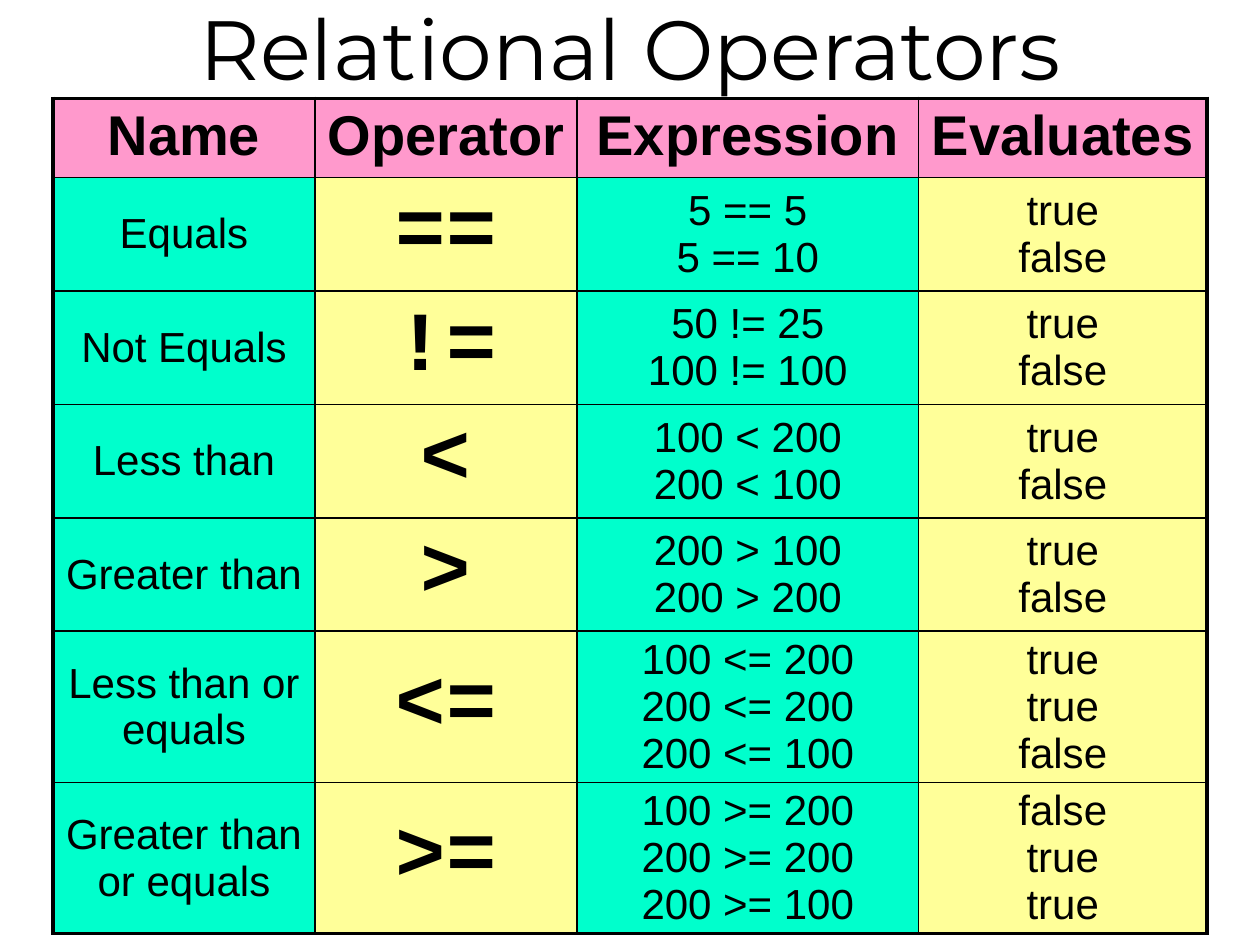
import pptx
import pptx.util
import pptx.dml.color
import pptx.enum.text
import pptx.oxml
import pptx.oxml.ns

Inches = pptx.util.Inches
Pt = pptx.util.Pt
RGBColor = pptx.dml.color.RGBColor
MIDDLE = pptx.enum.text.MSO_ANCHOR.MIDDLE
TOP = pptx.enum.text.MSO_ANCHOR.TOP
CENTER = pptx.enum.text.PP_ALIGN.CENTER

COLORS = {"ink": "000000", "pink": "FF99CC", "mint": "00FFCC", "yellow": "FFFF99"}
HEADER_FONT = {"name": "Arial", "size": Pt(32), "bold": True}
BODY_FONT = {"name": "Arial", "size": Pt(24), "bold": False}
OPERATOR_FONT = {"name": "Courier New", "size": Pt(48), "bold": True}
TITLE_FONT = {"name": "Montserrat", "size": Pt(48), "bold": False}
WIDE = {"margin_left": Inches(0.1), "margin_right": Inches(0.1),
        "margin_top": Inches(0.05), "margin_bottom": Inches(0.05)}
TIGHT = {"margin_left": Inches(0.07), "margin_right": Inches(0.07),
         "margin_top": 0, "margin_bottom": 0}

COL_WIDTHS = [2.08, 2.08, 2.71, 2.29]
ROW_HEIGHTS = [0.63, 0.9, 0.9, 0.9, 0.9, 1.2, 1.2]
COLUMN_STYLES = [
    ("mint", BODY_FONT, WIDE),
    ("yellow", OPERATOR_FONT, WIDE),
    ("mint", BODY_FONT, TIGHT),
    ("yellow", BODY_FONT, TIGHT),
]
ROWS = [
    ["Name", "Operator", "Expression", "Evaluates"],
    ["Equals", "==", "5 == 5\n5 == 10", "true\nfalse"],
    ["Not Equals", "!=", "50 != 25\n100 != 100", "true\nfalse"],
    ["Less than", "<", "100 < 200\n200 < 100", "true\nfalse"],
    ["Greater than", ">", "200 > 100\n200 > 200", "true\nfalse"],
    ["Less than or equals", "<=", "100 <= 200\n200 <= 200\n200 <= 100",
     "true\ntrue\nfalse"],
    ["Greater than or equals", ">=", "100 >= 200\n200 >= 200\n200 >= 100",
     "false\ntrue\ntrue"],
]


def format_text(tf, font):
    for p in tf.paragraphs:
        p.alignment = CENTER
        for r in p.runs:
            for name, value in font.items():
                setattr(r.font, name, value)
            r.font.color.rgb = RGBColor.from_string(COLORS["ink"])


def add_border(cell, side, width):
    cell._tc.get_or_add_tcPr().append(pptx.oxml.parse_xml(
        f'<a:ln{side} {pptx.oxml.ns.nsdecls("a")} w="{Pt(width)}"><a:solidFill>'
        f'<a:srgbClr val="{COLORS["ink"]}"/></a:solidFill></a:ln{side}>'))


prs = pptx.Presentation()
prs.slide_width = Inches(10)
prs.slide_height = Inches(7.5)
s = prs.slides.add_slide(prs.slide_layouts[5])

title = s.shapes.title
title.left, title.top = Inches(0), Inches(0)
title.width, title.height = Inches(10), Inches(0.75)
tf = title.text_frame
tf.text = "Relational Operators"
tf.auto_size = pptx.enum.text.MSO_AUTO_SIZE.NONE
tf.vertical_anchor = MIDDLE
format_text(tf, TITLE_FONT)

table = s.shapes.add_table(
    len(ROWS), len(COL_WIDTHS), Inches(0.42), Inches(0.78),
    Inches(sum(COL_WIDTHS)), Inches(sum(ROW_HEIGHTS))).table
table.first_row = False
table.horz_banding = False
for column, width in zip(table.columns, COL_WIDTHS):
    column.width = Inches(width)
for row, height in zip(table.rows, ROW_HEIGHTS):
    row.height = Inches(height)

last_row, last_col = len(ROWS) - 1, len(COL_WIDTHS) - 1
for i, texts in enumerate(ROWS):
    for j, text in enumerate(texts):
        fill, font, margins = COLUMN_STYLES[j]
        if i == 0:
            fill, font, margins = "pink", HEADER_FONT, WIDE
        cell = table.cell(i, j)
        cell.text = text
        format_text(cell.text_frame, font)
        cell.vertical_anchor = TOP if i == 0 else MIDDLE
        for name, value in margins.items():
            setattr(cell, name, value)
        outer_sides = {"L": j == 0, "R": j == last_col, "T": i == 0, "B": i == last_row}
        for side, outer in outer_sides.items():
            add_border(cell, side, 2.25 if outer else 1)
        cell.fill.solid()
        cell.fill.fore_color.rgb = RGBColor.from_string(COLORS[fill])

prs.save("out.pptx")
